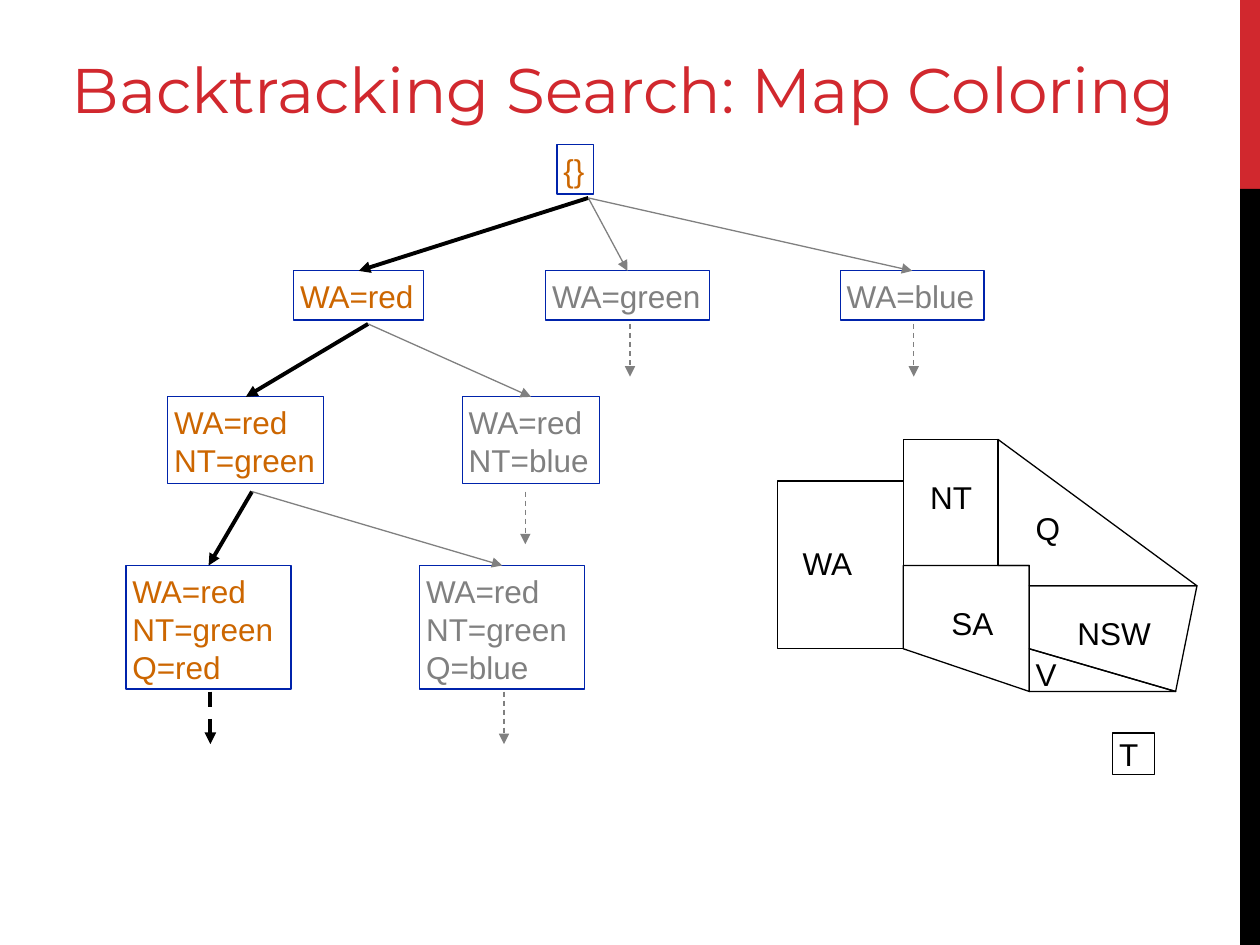
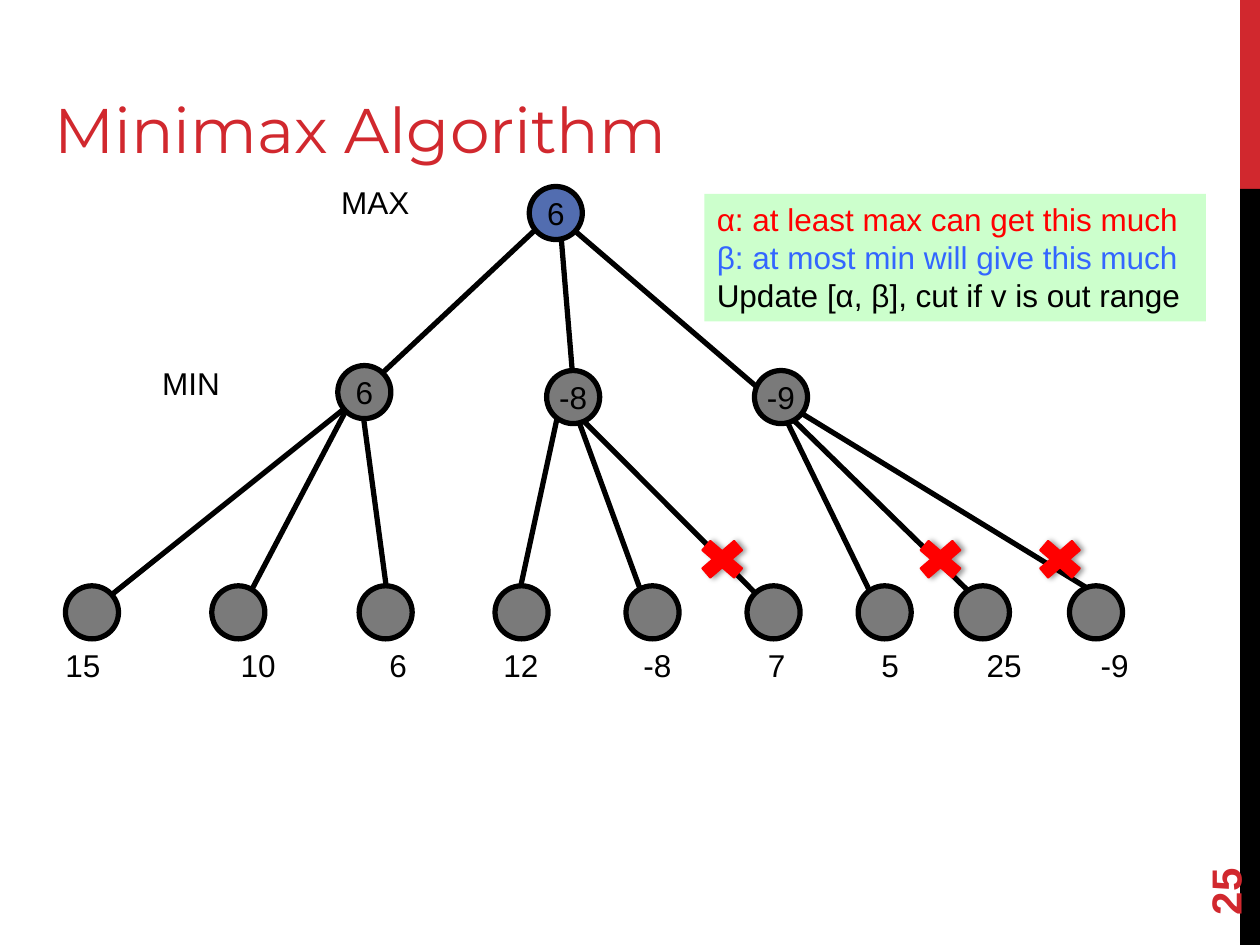
from collections import namedtuple

from lxml.etree import SubElement
from pptx import Presentation
from pptx.dml.color import RGBColor
from pptx.enum.dml import MSO_LINE_DASH_STYLE as DASH
from pptx.enum.shapes import MSO_CONNECTOR as CONN, MSO_SHAPE as SHAPE
from pptx.enum.text import MSO_ANCHOR as ANCHOR, PP_ALIGN as ALIGN
from pptx.oxml.ns import qn
from pptx.util import Cm, Pt

COLORS = {
    "accent": "D1282E", "black": "000000", "white": "FFFFFF", "border": "0023AB",
    "chosen": "CC6600", "other": "808080", "max": "526DB0", "min": "7A7A7A",
    "red": "FF0000", "beta": "3366FF", "legend": "CCFFCC",
}
BODY, HEAD = "Arial", "Montserrat"
WIDE, NARROW = (0.25, 0.13), (0.13, 0.13)  # left and top inset

Box = namedtuple("Box", "x y w h")


def rgb(name):
    return RGBColor.from_string(COLORS[name])


def inside(box, x, y, w, h):
    return Box(box.x + x, box.y + y, w, h)


def style(s, fill=None, line=None, width=0.75):
    s.shadow.inherit = False
    if fill:
        s.fill.solid()
        s.fill.fore_color.rgb = rgb(fill)
    else:
        s.fill.background()
    if line:
        s.line.color.rgb = rgb(line)
        s.line.width = Pt(width)
    else:
        s.line.fill.background()
    return s


def add_shape(slide, kind, box, **look):
    return style(slide.shapes.add_shape(kind, *map(Cm, box)), **look)


def write(s, lines, color="black", inset=WIDE, size=18, font=BODY, bold=False,
          align=ALIGN.LEFT, anchor=ANCHOR.TOP):
    """Fill a shape with lines; a line may be a (text, colour) pair."""
    tf = s.text_frame
    left, top = map(Cm, inset)
    frame = {"word_wrap": True, "vertical_anchor": anchor, "margin_left": left,
             "margin_right": 0, "margin_top": top, "margin_bottom": top}
    for name, value in frame.items():
        setattr(tf, name, value)
    for i, line in enumerate(lines):
        text, shade = line if isinstance(line, tuple) else (line, color)
        p = tf.paragraphs[0] if i == 0 else tf.add_paragraph()
        p.alignment = align
        r = p.add_run()
        r.text = text
        for name, value in {"name": font, "size": Pt(size), "bold": bold}.items():
            setattr(r.font, name, value)
        r.font.color.rgb = rgb(shade)
    return s


def add_text(slide, box, lines, **look):
    return write(slide.shapes.add_textbox(*map(Cm, box)), lines, **look)


def add_line(slide, start, end, color="black", width=3.0, arrow=False, dash=False):
    s = slide.shapes.add_connector(CONN.STRAIGHT, *map(Cm, (*start, *end)))
    s.line.color.rgb = rgb(color)
    s.line.width = Pt(width)
    if dash:
        s.line.dash_style = DASH.DASH
    if arrow:
        SubElement(s.line._get_or_add_ln(), qn("a:tailEnd"), type="triangle")
    SubElement(s._element.spPr, qn("a:effectLst"))
    return s


def add_slide(prs, title, title_box, align):
    """Blank slide with the side band and the title."""
    slide = prs.slides.add_slide(prs.slide_layouts[6])
    for y, h, fill in ((0, 3.81, "accent"), (3.81, 15.24, "black")):
        add_shape(slide, SHAPE.RECTANGLE, Box(25, y, 0.4, h), fill=fill)
    add_text(slide, title_box, [title], color="accent", size=36, font=HEAD,
             align=align, anchor=ANCHOR.BOTTOM)
    return slide


def add_page_number(slide, number, box):
    s = add_text(slide, box, [number], color="accent", size=24, bold=True,
                 anchor=ANCHOR.MIDDLE)
    s.rotation = 270


# Rows of the search tree: top, box height, height where branches leave
ROWS = [(0, 0.99, 1.07), (2.54, 0.99, 3.61), (5.08, 1.75, 6.99), (8.48, 2.49, 11.02)]
# Assignments: row, parent, chosen, left, width, x where branches leave
ASSIGNMENTS = {
    "{}": (0, None, True, 8.69, 0.74, 9.32),
    "WA=red": (1, "{}", True, 3.38, 2.62, 4.88),
    "WA=green": (1, "{}", False, 8.46, 3.3, 10.16),
    "WA=blue": (1, "{}", False, 14.4, 2.9, 15.88),
    "WA=red NT=green": (2, "WA=red", True, 0.84, 3.15, 2.54),
    "WA=red NT=blue": (2, "WA=red", False, 6.78, 2.77, 8.05),
    "WA=red NT=green Q=red": (3, "WA=red NT=green", True, 0, 3.33, 1.7),
    "WA=red NT=green Q=blue": (3, "WA=red NT=green", False, 5.92, 3.33, 7.62),
}


def search_tree(slide, box):
    parents = {node[1] for node in ASSIGNMENTS.values()}
    exits = {}
    for name, (row, parent, chosen, left, width, exit_x) in ASSIGNMENTS.items():
        top, height, exit_y = ROWS[row]
        s = add_shape(slide, SHAPE.RECTANGLE, inside(box, left, top, width, height),
                      fill="white", line="border")
        write(s, name.split(), color="chosen" if chosen else "other", inset=NARROW)
        x, y = exits[name] = box.x + exit_x, box.y + exit_y
        pen = {"color": "black" if chosen else "other",
               "width": 2.25 if chosen else 0.75, "arrow": True}
        if parent:
            middle = box.x + left + width / 2, box.y + top
            add_line(slide, exits[parent], middle, **pen).end_connect(s, 0)
        if name not in parents:
            add_line(slide, (x, y), (x, y + 1.06), dash=True, **pen)


# Map regions: label place (left, top, width), outline
RECT_REGIONS = {
    "WA": ((0.38, 1.98, 1.3), (0, 0.84, 2.54, 3.38)),
    "NT": ((2.95, 0.64, 1.14), (2.54, 0, 1.91, 2.54)),
    "T": ((6.76, 5.82, 0.69), (6.76, 5.92, 0.84, 0.84)),
}
FREE_REGIONS = {
    "SA": ((3.38, 3.18, 1.14), [(2.54, 2.54), (5.08, 2.54), (5.08, 5.08), (2.54, 4.22)]),
    "Q": ((5.08, 1.27, 0.79),
          [(4.45, 0), (8.46, 2.95), (5.08, 2.95), (5.08, 2.54), (4.45, 2.54)]),
    "NSW": ((5.92, 3.38, 1.78), [(5.08, 2.95), (5.08, 4.22), (8.03, 5.08), (8.46, 2.95)]),
    "V": ((5.08, 4.22, 0.71), [(5.08, 4.22), (5.08, 5.08), (8.03, 5.08)]),
}


def region_map(slide, box):
    for _, outline in RECT_REGIONS.values():
        add_shape(slide, SHAPE.RECTANGLE, inside(box, *outline), line="black")
    for _, outline in FREE_REGIONS.values():
        points = [(Cm(box.x + x), Cm(box.y + y)) for x, y in outline]
        builder = slide.shapes.build_freeform(*points[0])
        builder.add_line_segments(points[1:], close=True)
        style(builder.convert_to_shape(), line="black")
    for name, (place, _) in {**RECT_REGIONS, **FREE_REGIONS}.items():
        add_text(slide, inside(box, *place, 0.97), [name], inset=NARROW)


NODE = 1.07
LEAF_TOP = 8.05
INNER_NODES = [("6", 9.35, 0, "max"), ("6", 5.49, 3.61, "min"),
               ("-8", 9.7, 3.71, "min"), ("-9", 13.89, 3.71, "min")]
LEAVES = [0, 2.95, 5.92, 8.66, 11.3, 13.74, 15.98, 17.96, 20.24]
EDGES = [
    ((9.73, 0.63), (6.12, 4.01)), ((9.96, 0.63), (10.24, 4.01)),
    ((9.96, 0.63), (14.17, 4.24)),
    ((5.92, 4.24), (0.64, 8.46)), ((5.92, 4.01), (3.58, 8.46)),
    ((5.92, 4.01), (6.55, 8.69)),
    ((9.96, 4.44), (9.09, 8.46)), ((10.24, 4.44), (11.71, 8.46)),
    ((9.96, 4.24), (14.4, 8.69)),
    ((14.4, 4.44), (16.36, 8.46)), ((14.4, 4.44), (18.75, 8.69)),
    ((14.05, 4.09), (20.98, 8.33)),
]
CUTS = [12.62, 17.02, 19.43]
LEAF_VALUES = ["15", "10", "6", "12", "-8", "7", "5", "25", "-9"]
VALUE_TABS = [3.53, 6.53, 8.83, 11.65, 14.16, 16.45, 18.57, 20.87]


def game_tree(slide, box):
    for text, x, y in (("MAX", 5.31, -0.2), ("MIN", 1.7, 3.45)):
        add_text(slide, inside(box, x, y, 2.4, 1.27), [text])
    for ends in EDGES:
        add_line(slide, *((box.x + x, box.y + y) for x, y in ends))
    leaves = [("", x, LEAF_TOP, "min") for x in LEAVES]
    for value, x, y, fill in INNER_NODES + leaves:
        s = add_shape(slide, SHAPE.OVAL, inside(box, x, y, NODE, NODE),
                      fill=fill, line="black", width=3)
        if value:
            write(s, [value], inset=(0, 0), align=ALIGN.CENTER, anchor=ANCHOR.MIDDLE)
    leaf_values(slide, inside(box, -0.25, 9.14, 22.78, 1.02))
    for x in CUTS:
        cut_mark(slide, inside(box, x, 6.98, 1.24, NODE))


def leaf_values(slide, box):
    s = add_text(slide, box, ["\t".join(LEAF_VALUES)])
    tabs = SubElement(s.text_frame.paragraphs[0]._p.get_or_add_pPr(), qn("a:tabLst"))
    for pos in VALUE_TABS:
        SubElement(tabs, qn("a:tab"), pos=str(Cm(pos)), algn="l")


def cut_mark(slide, box):
    """Red cross with a soft shadow to its right."""
    s = add_shape(slide, SHAPE.MATH_MULTIPLY, box, fill="red", line="red", width=1)
    s.adjustments[0] = 0.235
    effects = s._element.spPr.find(qn("a:effectLst"))
    shadow = SubElement(effects, qn("a:outerShdw"), blurRad=str(Pt(3.1)),
                        dist=str(Pt(1.8)), dir="0", rotWithShape="0")
    color = SubElement(shadow, qn("a:srgbClr"), val=COLORS["black"])
    SubElement(color, qn("a:alpha"), val="40000")


def legend(slide, box):
    write(add_shape(slide, SHAPE.RECTANGLE, box, fill="legend"),
          [("α: at least max can get this much", "red"),
           ("β: at most min will give this much", "beta"),
           "Update [α, β], cut if v is out range"])


def main():
    prs = Presentation()
    prs.slide_width, prs.slide_height = Cm(25.4), Cm(19.05)

    slide = add_slide(prs, "Backtracking Search: Map Coloring",
                      Box(0, -0.51, 24.89, 3.18), ALIGN.CENTER)
    search_tree(slide, Box(2.54, 2.92, 17.3, 12.08))
    region_map(slide, Box(15.67, 8.86, 8.46, 6.76))

    slide = add_slide(prs, "Minimax Algorithm", Box(0.84, 0.3, 22.66, 3.18), ALIGN.LEFT)
    add_page_number(slide, "25", Box(22.86, 16.36, 3.66, 1.02))
    game_tree(slide, Box(1.32, 3.76, 21.31, 10.16))
    legend(slide, Box(14.2, 3.91, 10.11, 2.57))

    prs.save("out.pptx")


if __name__ == "__main__":
    main()
